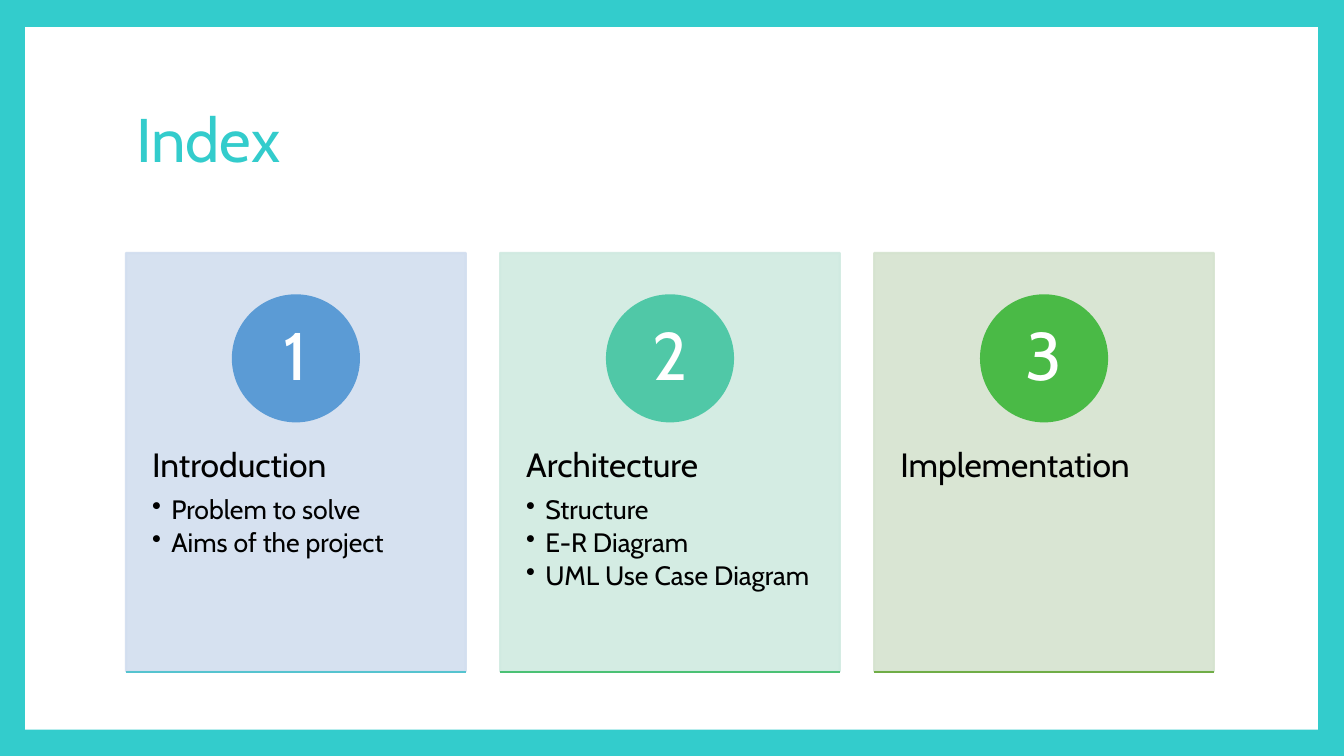
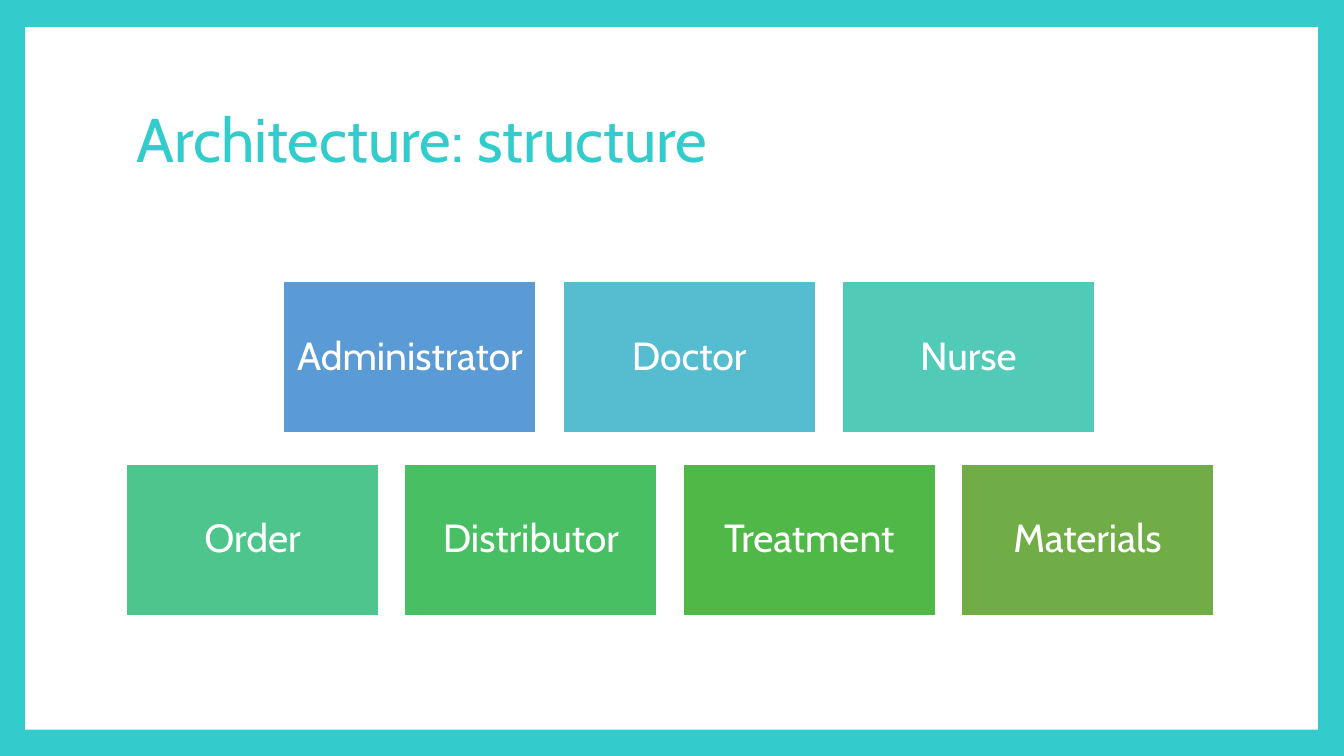
from lxml import etree
from pptx import Presentation
from pptx.dml.color import RGBColor
from pptx.enum import shapes, text
from pptx.oxml.ns import qn
from pptx.util import Inches, Pt

FONT = "Cabin"
COLORS = {
    "turquoise": "33CCCC", "white": "FFFFFF", "black": "000000",
    "blue": "5B9BD5", "blue_tint": "D2DEEF", "sky": "56BCD0", "sky_rule": "55C3CF",
    "aqua": "52CAB8", "teal": "50C8A7", "teal_tint": "D0EAE1", "mint": "4DC58D",
    "emerald": "49BF64", "emerald_rule": "4BC174", "leaf": "50B846",
    "green": "4ABA46", "olive": "70AD47", "olive_tint": "D5E3CF",
}

CARD_LEFT, CARD_TOP, CARD_WIDTH, CARD_HEIGHT = 1.25, 2.51, 3.37, 4.15
CARD_PITCH = 3.71
BADGE_SIZE = 1.25
TILE_WIDTH, TILE_HEIGHT = 2.51, 1.51

INDEX_CARDS = [
    ("Introduction", ["Problem to solve", "Aims of the project"],
     "blue", "blue_tint", "sky_rule"),
    ("Architecture", ["Structure", "E-R Diagram", "UML Use Case Diagram"],
     "teal", "teal_tint", "emerald_rule"),
    ("Implementation", [], "green", "olive_tint", "olive"),
]

# Left edge, top edge and pitch of each row, then its tiles
STRUCTURE_ROWS = [
    (2.81, 2.79, 2.77,
     [("Administrator", "blue"), ("Doctor", "sky"), ("Nurse", "aqua")]),
    (1.25, 4.6, 2.76,
     [("Order", "mint"), ("Distributor", "emerald"),
      ("Treatment", "leaf"), ("Materials", "olive")]),
]


def rgb(name):
    return RGBColor.from_string(COLORS[name])


def set_margins(frame, horizontal, top, bottom):
    frame.margin_left = frame.margin_right = Inches(horizontal)
    frame.margin_top, frame.margin_bottom = Inches(top), Inches(bottom)


def style_paragraph(paragraph, size, color, align, space_after=0):
    paragraph.alignment = align
    paragraph.line_spacing = 0.9
    paragraph.space_before = Pt(0)
    paragraph.space_after = Pt(space_after)
    for run in paragraph.runs:
        run.font.name = FONT
        run.font.size = Pt(size)
        run.font.color.rgb = rgb(color)


def add_bullet(paragraph):
    properties = paragraph._p.get_or_add_pPr()
    properties.set("marL", str(Inches(0.19)))
    properties.set("indent", str(Inches(-0.19)))
    etree.SubElement(properties, qn("a:buChar"), char="•")


def make_translucent(shape, percent):
    """Apply the opacity to both the fill and the outline."""
    for color in shape._element.spPr.iter(qn("a:srgbClr")):
        etree.SubElement(color, qn("a:alpha"), val=str(percent * 1000))


def add_block(slide, kind, left, top, width, height, fill, line=None):
    block = slide.shapes.add_shape(
        kind, Inches(left), Inches(top), Inches(width), Inches(height))
    block.shadow.inherit = False
    block.fill.solid()
    block.fill.fore_color.rgb = rgb(fill)
    block.line.color.rgb = rgb(line or fill)
    block.line.width = Pt(1.5)
    return block


def set_centred_label(block, label, size):
    frame = block.text_frame
    frame.text = label
    frame.word_wrap = True
    frame.vertical_anchor = text.MSO_ANCHOR.MIDDLE
    style_paragraph(frame.paragraphs[0], size, "white",
                    text.PP_ALIGN.CENTER, size * 0.35)


def add_rule(slide, left, top, width, color):
    rule = slide.shapes.add_connector(
        shapes.MSO_CONNECTOR.STRAIGHT, Inches(left), Inches(top),
        Inches(left + width), Inches(top))
    rule.line.color.rgb = rgb(color)
    rule.line.width = Pt(1.5)
    etree.SubElement(rule._element.spPr, qn("a:effectLst"))


def add_titled_slide(deck, title):
    slide = deck.slides.add_slide(deck.slide_layouts[5])
    heading = slide.shapes.title
    heading.left, heading.top = Inches(1.25), Inches(0.67)
    heading.width, heading.height = Inches(10.8), Inches(1.48)
    heading.text_frame.text = title
    heading.text_frame.vertical_anchor = text.MSO_ANCHOR.MIDDLE
    style_paragraph(heading.text_frame.paragraphs[0], 44, "turquoise",
                    text.PP_ALIGN.LEFT)
    return slide


def set_frame_on_master(deck, slide):
    """Give the master its turquoise border and white panel, drawn via a slide."""
    master = deck.slide_master
    master.background.fill.solid()
    master.background.fill.fore_color.rgb = rgb("turquoise")
    panel = add_block(slide, shapes.MSO_SHAPE.RECTANGLE,
                      0.25, 0.27, 12.82, 6.97, "white")
    panel.line.fill.background()
    master.shapes._spTree.insert(2, panel._element)


def add_index_card(slide, number, heading, topics, badge_color, tint, rule_color):
    left = CARD_LEFT + (number - 1) * CARD_PITCH
    card = add_block(slide, shapes.MSO_SHAPE.RECTANGLE,
                     left, CARD_TOP, CARD_WIDTH, CARD_HEIGHT, tint)
    make_translucent(card, 90)
    frame = card.text_frame
    frame.word_wrap = True
    frame.vertical_anchor = text.MSO_ANCHOR.TOP
    set_margins(frame, 0.26, 1.94, 0.36)
    frame.text = heading
    style_paragraph(frame.paragraphs[0], 24, "black", text.PP_ALIGN.LEFT, 8.4)
    for topic in topics:
        paragraph = frame.add_paragraph()
        paragraph.text = topic
        paragraph.level = 1
        style_paragraph(paragraph, 19, "black", text.PP_ALIGN.LEFT, 2.85)
        add_bullet(paragraph)

    badge = add_block(slide, shapes.MSO_SHAPE.OVAL,
                      left + (CARD_WIDTH - BADGE_SIZE) / 2, CARD_TOP + 0.42,
                      BADGE_SIZE, BADGE_SIZE, badge_color)
    set_margins(badge.text_frame, 0.1, 0.01, 0.01)
    set_centred_label(badge, str(number), 48)
    add_rule(slide, left, CARD_TOP + CARD_HEIGHT + 0.01, CARD_WIDTH, rule_color)


def add_tile_row(slide, left, top, pitch, tiles):
    for column, (label, color) in enumerate(tiles):
        tile = add_block(slide, shapes.MSO_SHAPE.RECTANGLE, left + column * pitch,
                         top, TILE_WIDTH, TILE_HEIGHT, color, "white")
        set_margins(tile.text_frame, 0.1, 0.12, 0.12)
        set_centred_label(tile, label, 28)


def main():
    deck = Presentation()
    deck.slide_width, deck.slide_height = Inches(13.33), Inches(7.5)

    index = add_titled_slide(deck, "Index")
    set_frame_on_master(deck, index)
    for number, card in enumerate(INDEX_CARDS, start=1):
        add_index_card(index, number, *card)

    structure = add_titled_slide(deck, "Architecture: structure")
    for row in STRUCTURE_ROWS:
        add_tile_row(structure, *row)

    deck.save("out.pptx")


if __name__ == "__main__":
    main()
